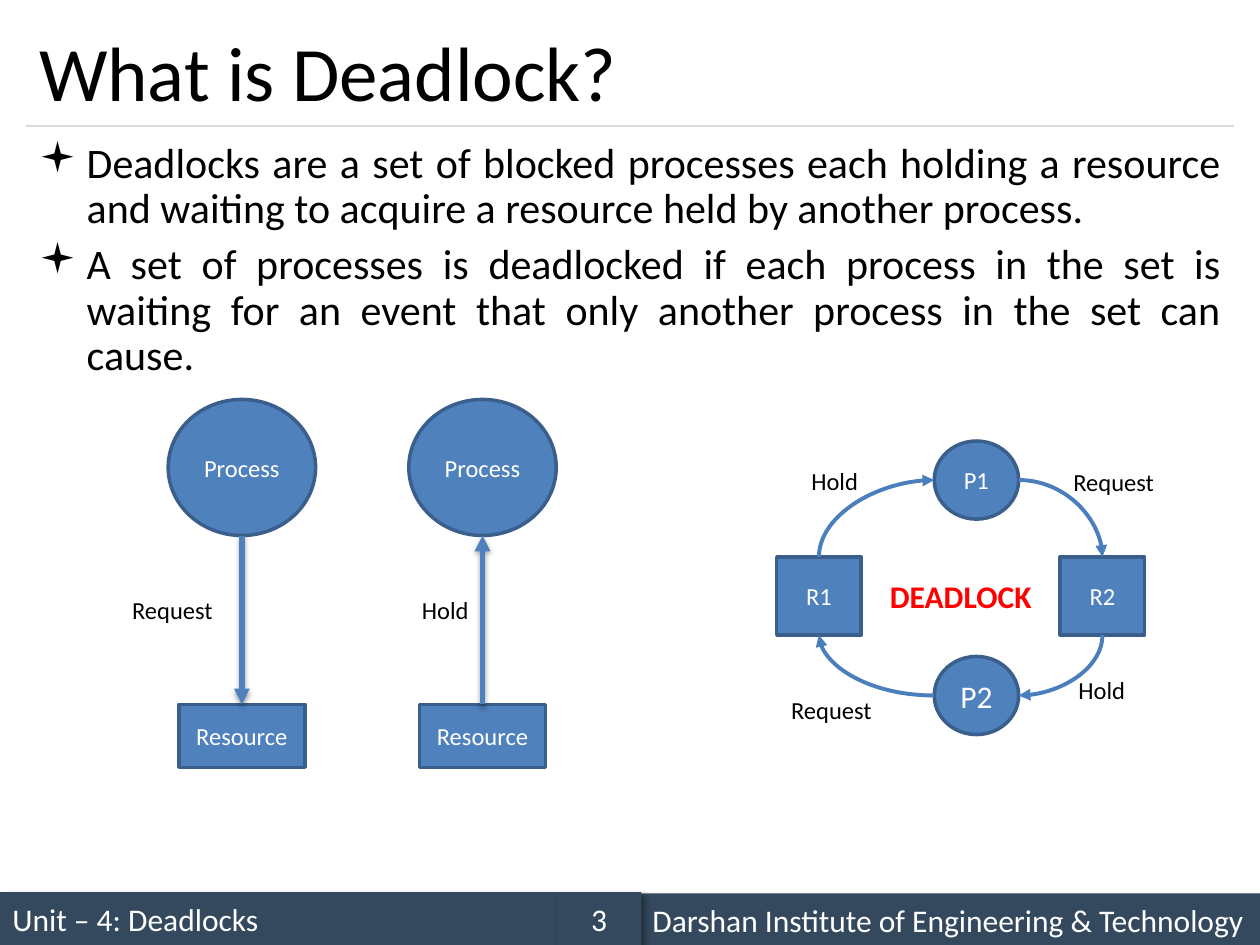
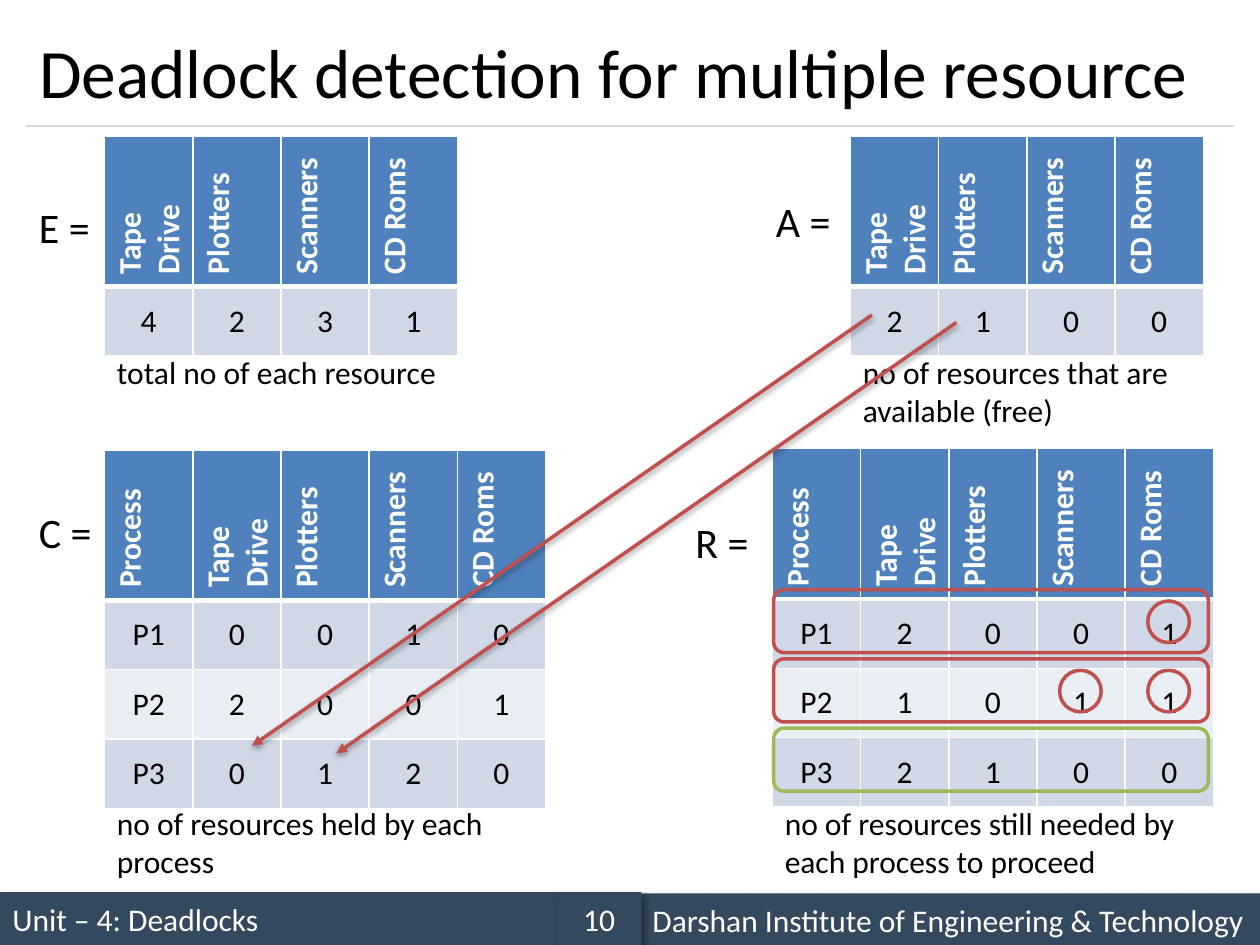
"""Build two slides on deadlocks: what they are, and how to detect them."""
import pptx
import pptx.util
import pptx.dml.color
import pptx.enum.shapes
import pptx.enum.text
import pptx.oxml.ns
import lxml.etree

IN, PT = pptx.util.Inches, pptx.util.Pt
KIND = pptx.enum.shapes.MSO_SHAPE
JOIN = pptx.enum.shapes.MSO_CONNECTOR
ALIGN = pptx.enum.text.PP_ALIGN
MID = pptx.enum.text.MSO_ANCHOR.MIDDLE
TOP = pptx.enum.text.MSO_ANCHOR.TOP
qn = pptx.oxml.ns.qn

WIDE, HIGH = 10, 7.5
EDGE, SPAN = 0.21, 9.58
FONT = "Calibri"
BLACK, WHITE, NAVY, GRAY = "000000", "FFFFFF", "34495E", "D9D9D9"
BLUE, RIM, CURVE = "4F81BD", "3A5F8C", "4B7EBC"
RED, GREEN, ALERT = "C0504D", "9BBB59", "FF0000"
BANDS = ["D0D8E8", "E9EDF4"]
BAR_GLOW, LINE_GLOW = (40, 4, 3, 45), (38, 3.1, 1.6, 90)

UNIT = "Unit – 4: Deadlocks"
SCHOOL = "Darshan Institute of Engineering & Technology"
POINTS = [
    "Deadlocks are a set of blocked processes each holding a resource and waiting "
    "to acquire a resource held by another process.",
    "A set of processes is deadlocked if each process in the set is waiting for an "
    "event that only another process in the set can cause.",
]
PAIRS = [("Request", 1.92, 0.95), ("Hold", 3.83, 3.25)]
NODES = {
    "P1": (KIND.OVAL, 7.75, 3.81, 14),
    "P2": (KIND.OVAL, 7.75, 5.52, 18),
    "R1": (KIND.RECTANGLE, 6.5, 4.73, 14),
    "R2": (KIND.RECTANGLE, 8.75, 4.73, 14),
}
NODE_W, NODE_H = 0.67, 0.62
CYCLE = [
    ("R2", "P2", "Hold", 8.46, 5.31),
    ("P2", "R1", "Request", 6.18, 5.47),
    ("R1", "P1", "Hold", 6.34, 3.65),
    ("P1", "R2", "Request", 8.42, 3.66),
]
LABEL_W = {"Hold": 0.62, "Request": 0.92}

GOODS = ["Tape Drive", "Plotters", "Scanners", "CD Roms"]
HELD = ["Process"] + GOODS
CELL_W, HEAD_H, ROW_H = 0.7, 1.1, 0.55
GRIDS = [
    ("E =", 0.21, 1.55, 0.83, 1.08, [GOODS, "4231"],
     "total no of each resource", 2.75, 2.75),
    ("A =", 6.06, 1.5, 6.75, 1.08, [GOODS, "2100"],
     "no of resources that are available (free)", 2.75, 2.75),
    ("C =", 0.21, 3.97, 0.83, 3.57,
     [HELD, ["P1", *"0010"], ["P2", *"2001"], ["P3", *"0120"]],
     "no of resources held by each process", 6.33, 3.5),
    ("R =", 5.42, 4.05, 6.13, 3.56,
     [HELD, ["P1", *"2001"], ["P2", *"1011"], ["P3", *"2100"]],
     "no of resources still needed by each process to proceed", 6.33, 3.45),
]
FRAMES = [RED, RED, GREEN]
RINGS = [(4, 0), (3, 1), (4, 1)]
ARROWS = [((6.92, 2.5), (2, 5.92)), ((7.59, 2.56), (2.67, 5.98))]


def tint(code):
    return pptx.dml.color.RGBColor.from_string(code)


def sub(node, tag, **attrs):
    return lxml.etree.SubElement(node, qn(tag), {k: str(v) for k, v in attrs.items()})


def write(frame, text, size=18, color=BLACK, bold=False, align=ALIGN.LEFT,
          anchor=TOP, bullet=None, gap=0, space=None):
    frame.word_wrap = True
    frame.vertical_anchor = anchor
    for i, words in enumerate([text] if isinstance(text, str) else text):
        para = frame.add_paragraph() if i else frame.paragraphs[0]
        para.alignment = align
        if space:
            para.line_spacing = space
        para.space_before = PT(gap if i else 0)
        if bullet:
            props = para._p.get_or_add_pPr()
            props.set("marL", str(IN(0.38)))
            props.set("indent", str(-IN(0.38)))
            sub(props, "a:buFont", typeface="Wingdings")
            sub(props, "a:buChar", char=bullet)
        run = para.add_run()
        run.text = words
        run.font.name, run.font.size, run.font.bold = FONT, PT(size), bold
        run.font.color.rgb = tint(color)


def note(slide, text, x, y, w, h, **style):
    box = slide.shapes.add_textbox(IN(x), IN(y), IN(w), IN(h))
    write(box.text_frame, text, **style)


def glow(effects, alpha, blur, dist, angle):
    shade = sub(effects, "a:outerShdw", blurRad=PT(blur), dist=PT(dist),
                dir=angle * 60000, algn="tl", rotWithShape=0)
    sub(sub(shade, "a:srgbClr", val=BLACK), "a:alpha", val=alpha * 1000)


def draw(slide, kind, x, y, w, h, fill=None, rim=None, text=None, shade=None, **style):
    shape = slide.shapes.add_shape(kind, IN(x), IN(y), IN(w), IN(h))
    shape.shadow.inherit = False
    if fill:
        shape.fill.solid()
        shape.fill.fore_color.rgb = tint(fill)
    else:
        shape.fill.background()
    if rim:
        shape.line.color.rgb = tint(rim)
        shape.line.width = PT(2)
    else:
        shape.line.fill.background()
    if shade:
        glow(shape._element.spPr.find(qn("a:effectLst")), *shade)
    if text:
        write(shape.text_frame, text, **{"color": WHITE, "anchor": MID, **style})
    return shape


def link(slide, start, end, color, width, kind=JOIN.STRAIGHT, shade=None, arrow=True):
    line = slide.shapes.add_connector(kind, *(IN(v) for v in (*start, *end)))
    line.line.color.rgb = tint(color)
    line.line.width = PT(width)
    props = line._element.spPr
    if arrow:
        sub(props.find(qn("a:ln")), "a:tailEnd", type="triangle")
    effects = sub(props, "a:effectLst")
    if shade:
        glow(effects, *shade)
    return line


def bend(slide, start, end, upright):
    if upright:
        mid_x, mid_y = ((a + b) / 2 for a, b in zip(start, end))
        start, end = ((mid_x + y - mid_y, mid_y - x + mid_x) for x, y in (start, end))
    props = link(slide, start, end, CURVE, 2.25, JOIN.CURVE)._element.spPr
    props.find(qn("a:prstGeom")).set("prst", "curvedConnector2")
    if upright:
        props.find(qn("a:xfrm")).set("rot", str(90 * 60000))


def page(deck, title, number, size):
    slide = deck.slides.add_slide(deck.slide_layouts[5])
    head = slide.shapes.title
    head.left, head.top, head.width, head.height = map(IN, (EDGE, 0.12, SPAN, 0.88))
    head.text_frame.auto_size = pptx.enum.text.MSO_AUTO_SIZE.NONE
    write(head.text_frame, title, size=size, anchor=MID)
    for text, x, y, w, align in [(UNIT, 0, 7.08, 4.42, ALIGN.LEFT),
                                 (SCHOOL, 5.08, 7.09, 4.92, ALIGN.LEFT),
                                 (number, 4.42, 7.08, 0.67, ALIGN.CENTER)]:
        draw(slide, KIND.RECTANGLE, x, y, w, 0.42, NAVY, text=text,
             shade=BAR_GLOW, align=align)
    link(slide, (EDGE, 1), (EDGE + SPAN, 1), GRAY, 0.75, arrow=False)
    return slide


def grid(slide, rows, x, y):
    cols = len(rows[0])
    table = slide.shapes.add_table(
        len(rows), cols, IN(x), IN(y), IN(cols * CELL_W),
        IN(HEAD_H + ROW_H * (len(rows) - 1))).table
    for col in table.columns:
        col.width = IN(CELL_W)
    for i, row in enumerate(rows):
        table.rows[i].height = IN(ROW_H if i else HEAD_H)
        for j, text in enumerate(row):
            cell = table.cell(i, j)
            props = cell._tc.get_or_add_tcPr()
            for side in "LRTB":
                thick = (i, side) in [(0, "B"), (1, "T")]
                edge = sub(props, "a:ln" + side, w=PT(3 if thick else 1))
                sub(sub(edge, "a:solidFill"), "a:srgbClr", val=WHITE)
            cell.fill.solid()
            cell.fill.fore_color.rgb = tint(BANDS[(i - 1) % 2] if i else BLUE)
            cell.vertical_anchor = MID
            if i:
                write(cell.text_frame, text, align=ALIGN.CENTER, anchor=MID)
            else:
                write(cell.text_frame, text, color=WHITE, bold=True, anchor=MID)
                props.set("vert", "vert270")


def define(deck):
    slide = page(deck, "What is Deadlock?", "3", 44)
    note(slide, POINTS, EDGE, 1.08, SPAN, 2.05, size=24, align=ALIGN.JUSTIFY,
         bullet="▪", gap=6, space=0.9)
    look = {"fill": BLUE, "rim": RIM, "align": ALIGN.CENTER}
    for label, mid, x in PAIRS:
        base = draw(slide, KIND.RECTANGLE, mid - 0.5, 5.59, 1, 0.5,
                    text="Resource", size=14, **look)
        draw(slide, KIND.OVAL, mid - 0.585, 3.17, 1.17, 1.08,
             text="Process", size=14, **look)
        ends = [(mid, 4.25), (mid, 5.59)]
        if label == "Hold":
            line = link(slide, *ends[::-1], BLUE, 3, shade=LINE_GLOW)
            line.begin_connect(base, 0)
        else:
            line = link(slide, *ends, BLUE, 3, shade=LINE_GLOW)
            line.end_connect(base, 0)
        note(slide, label, x, 4.67, LABEL_W[label], 0.34, size=14)
    for name, (kind, x, y, size) in NODES.items():
        draw(slide, kind, x - NODE_W / 2, y - NODE_H / 2, NODE_W, NODE_H,
             text=name, size=size, **look)
    for tail, tip, label, x, y in CYCLE:
        upright = tail[0] == "R"
        box, ball = (tail, tip) if upright else (tip, tail)
        box_x, box_y = NODES[box][1:3]
        ball_x, ball_y = NODES[ball][1:3]
        side = 1 if box_x > ball_x else -1
        drop = 1 if ball_y > box_y else -1
        ends = [(box_x, box_y + drop * NODE_H / 2), (ball_x + side * NODE_W / 2, ball_y)]
        bend(slide, *(ends if upright else ends[::-1]), upright)
        note(slide, label, x, y, LABEL_W[label], 0.34, size=14)
    note(slide, "DEADLOCK", 6.94, 4.53, 1.37, 0.4, color=ALERT, bold=True,
         align=ALIGN.CENTER)


def detect(deck):
    slide = page(deck, "Deadlock detection for multiple resource", "10", 39.6)
    for name, name_x, name_y, x, y, rows, text, text_y, w in GRIDS:
        note(slide, name, name_x, name_y, 0.69, 0.5, size=24)
        grid(slide, rows, x, y)
        note(slide, text, x, text_y, w, 0.71)
    for i, color in enumerate(FRAMES):
        draw(slide, KIND.ROUNDED_RECTANGLE, 6.14, 4.68 + i * ROW_H, 3.45, 0.5, rim=color)
    for col, row in RINGS:
        draw(slide, KIND.OVAL, 6.31 + col * CELL_W, 4.77 + row * ROW_H, 0.33, 0.33, rim=RED)
    for start, end in ARROWS:
        link(slide, start, end, RED, 2, shade=LINE_GLOW)


def main():
    deck = pptx.Presentation()
    deck.slide_width, deck.slide_height = IN(WIDE), IN(HIGH)
    define(deck)
    detect(deck)
    deck.save("out.pptx")


if __name__ == "__main__":
    main()
